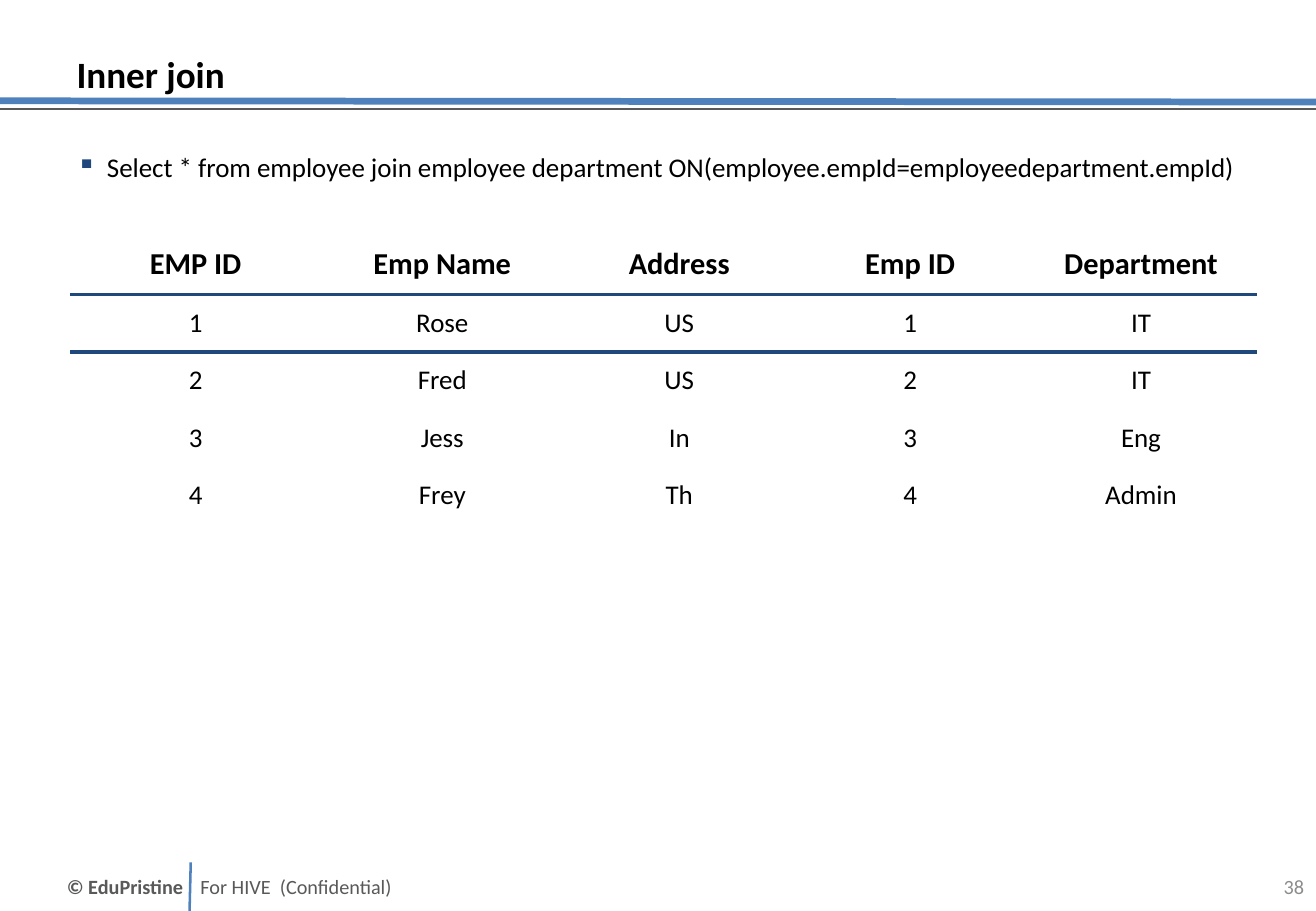
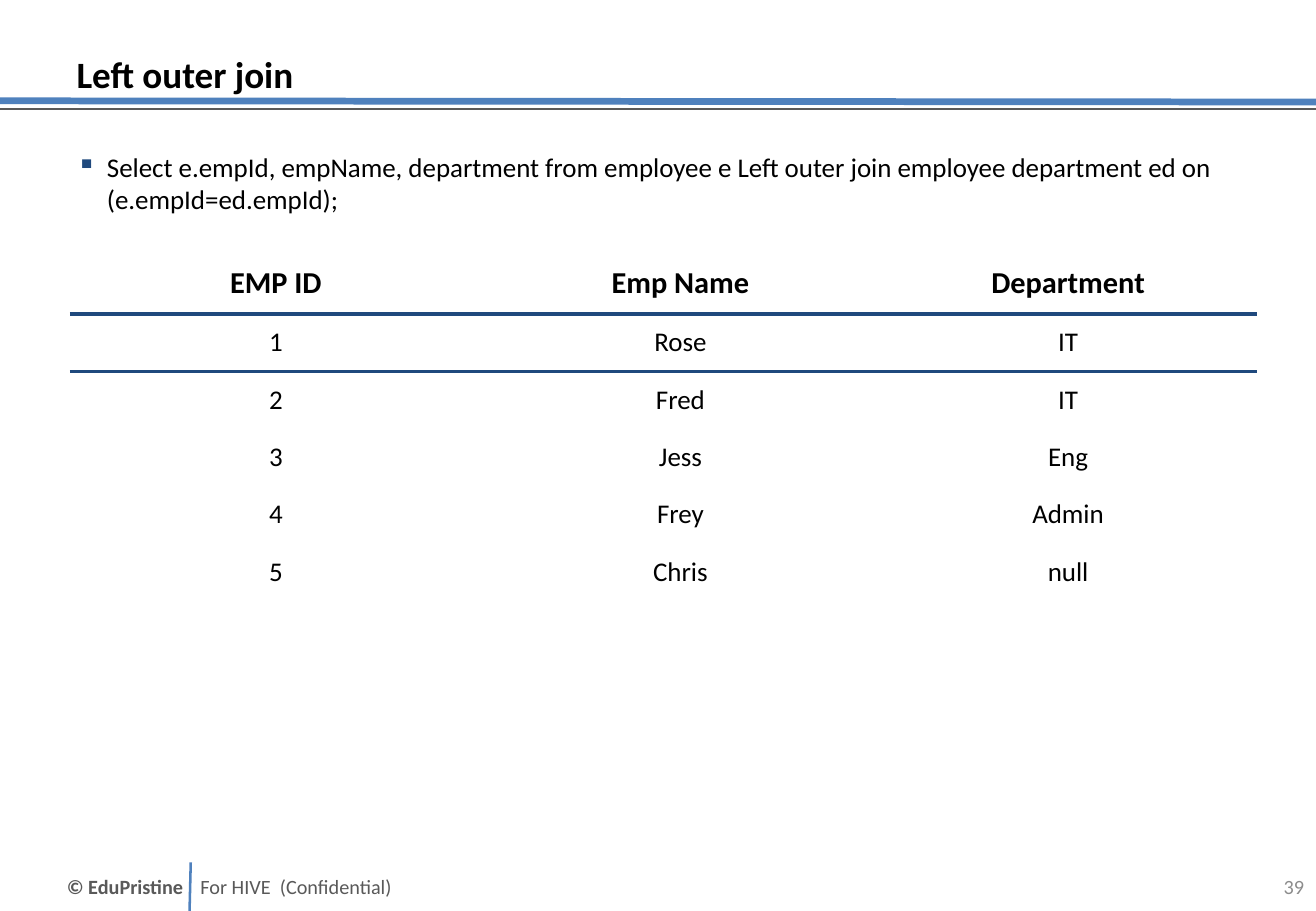
import pptx
import pptx.dml.color
import pptx.enum.shapes
import pptx.enum.text
import pptx.oxml.ns
import pptx.util
from lxml import etree
from pptx.util import Inches

# Shared look
FONT = "Calibri"
BLACK, WHITE, GRAY, LIGHT_GRAY = "000000", "FFFFFF", "595959", "8C8C8C"
BLUE, NAVY = "4F81BD", "1F497D"
LEFT, CONTENT_WIDTH, SLIDE_WIDTH = 0.58, 9.75, 10.83
FOOTER_TOP, FOOTER_HEIGHT = 7.1, 0.4
HEADER_ROW, BODY_ROW = 0.5, 0.47
ALIGN = pptx.enum.text.PP_ALIGN
ANCHOR = pptx.enum.text.MSO_ANCHOR

# Slide content
SLIDES = [
    {
        "number": 38,
        "title": "Inner join",
        "query": "Select * from employee join employee department "
                 "ON(employee.empId=employeedepartment.empId)",
        "table_top": 1.92,
        "columns": [2.06, 2, 1.9, 1.9, 1.9],
        "rows": [
            ["EMP ID", "Emp Name", "Address", "Emp ID", "Department"],
            ["1", "Rose", "US", "1", "IT"],
            ["2", "Fred", "US", "2", "IT"],
            ["3", "Jess", "In", "3", "Eng"],
            ["4", "Frey", "Th", "4", "Admin"],
        ],
    },
    {
        "number": 39,
        "title": "Left outer join",
        "query": "Select e.empId, empName, department from employee e "
                 "Left outer join employee department ed on (e.empId=ed.empId);",
        "table_top": 2.08,
        "columns": [3.38, 3.28, 3.1],
        "rows": [
            ["EMP ID", "Emp Name", "Department"],
            ["1", "Rose", "IT"],
            ["2", "Fred", "IT"],
            ["3", "Jess", "Eng"],
            ["4", "Frey", "Admin"],
            ["5", "Chris", "null"],
        ],
    },
]


def color(hex_string):
    return pptx.dml.color.RGBColor.from_string(hex_string)


def add_element(parent, tag, **attributes):
    element = etree.SubElement(parent, pptx.oxml.ns.qn(tag))
    for name, value in attributes.items():
        element.set(name, value)
    return element


def add_run(paragraph, text, size, hex_color=BLACK, bold=False):
    run = paragraph.add_run()
    run.text = text
    run.font.name = FONT
    run.font.size = pptx.util.Pt(size)
    run.font.bold = bold
    run.font.color.rgb = color(hex_color)


def format_frame(frame, anchor, horizontal=0.05, vertical=0.05):
    frame.word_wrap = True
    frame.auto_size = pptx.enum.text.MSO_AUTO_SIZE.NONE
    frame.vertical_anchor = anchor
    frame.margin_left = frame.margin_right = Inches(horizontal)
    frame.margin_top = frame.margin_bottom = Inches(vertical)


def add_text_box(slide, left, top, width, height, anchor, margin=0.05):
    box = slide.shapes.add_textbox(
        Inches(left), Inches(top), Inches(width), Inches(height))
    format_frame(box.text_frame, anchor, margin)
    return box.text_frame.paragraphs[0]


def add_footer_text(slide, text, left, width, hex_color=GRAY, bold=False,
                    margin=0, alignment=ALIGN.LEFT):
    paragraph = add_text_box(slide, left, FOOTER_TOP, width, FOOTER_HEIGHT,
                             ANCHOR.MIDDLE, margin)
    paragraph.alignment = alignment
    add_run(paragraph, text, 12, hex_color, bold)


def add_line(slide, start, end, hex_color, width):
    line = slide.shapes.add_connector(
        pptx.enum.shapes.MSO_CONNECTOR.STRAIGHT,
        *(Inches(value) for value in (*start, *end)))
    line.line.color.rgb = color(hex_color)
    line.line.width = pptx.util.Pt(width)
    add_element(line.element.spPr, "a:effectLst")


def add_frame(slide, number):
    # Footer
    add_footer_text(slide, "© EduPristine", 0.55, 1.53, bold=True)
    add_line(slide, (1.57, FOOTER_TOP), (1.56, FOOTER_TOP + FOOTER_HEIGHT),
             BLUE, 1.5)
    add_footer_text(slide, "For HIVE  (Confidential)", 1.65, 3.43)
    add_footer_text(slide, str(number), 10.29, 0.54, LIGHT_GRAY,
                    margin=0.1, alignment=ALIGN.RIGHT)
    # Rules under the title
    add_line(slide, (0, 0.83), (SLIDE_WIDTH, 0.84), BLUE, 4)
    add_line(slide, (0, 0.9), (SLIDE_WIDTH, 0.9), GRAY, 1)


def set_title(slide, text):
    title = slide.shapes.title
    title.left, title.top = Inches(LEFT), Inches(0.07)
    title.width, title.height = Inches(8.86), Inches(0.77)
    format_frame(title.text_frame, ANCHOR.BOTTOM)
    paragraph = title.text_frame.paragraphs[0]
    paragraph.alignment = ALIGN.LEFT
    paragraph.line_spacing = pptx.util.Pt(22)
    add_run(paragraph, text, 22, bold=True)


def add_query(slide, text):
    paragraph = add_text_box(slide, LEFT, 1.19, CONTENT_WIDTH, 5.51, ANCHOR.TOP)
    properties = paragraph._p.get_or_add_pPr()
    properties.set("marL", str(Inches(0.25)))
    properties.set("indent", str(Inches(-0.25)))
    bullet_color = add_element(properties, "a:buClr")
    add_element(bullet_color, "a:srgbClr", val=NAVY)
    add_element(properties, "a:buChar", char="▪")
    paragraph.space_after = pptx.util.Pt(4)
    add_run(paragraph, text, 16)


def set_borders(cell, top, bottom):
    properties = cell._tc.get_or_add_tcPr()
    sides = {"a:lnL": WHITE, "a:lnR": WHITE, "a:lnT": top, "a:lnB": bottom}
    for index, (tag, hex_color) in enumerate(sides.items()):
        width = 1 if hex_color == WHITE else 2.25
        border = add_element(properties, tag, w=str(pptx.util.Pt(width)))
        fill = add_element(border, "a:solidFill")
        add_element(fill, "a:srgbClr", val=hex_color)
        properties.insert(index, border)


def add_result_table(slide, top, columns, rows):
    heights = [HEADER_ROW] + [BODY_ROW] * (len(rows) - 1)
    table = slide.shapes.add_table(
        len(rows), len(columns), Inches(LEFT), Inches(top),
        Inches(sum(columns)), Inches(sum(heights))).table
    table.first_row = table.horz_banding = False
    for column, width in zip(table.columns, columns):
        column.width = Inches(width)
    for row_index, (row, height, texts) in enumerate(
            zip(table.rows, heights, rows)):
        row.height = Inches(height)
        is_header = row_index == 0
        # Navy rules run below the header and below the first record
        top_color = NAVY if row_index in (1, 2) else WHITE
        bottom_color = NAVY if row_index in (0, 1) else WHITE
        for cell, text in zip(row.cells, texts):
            cell.fill.background()
            set_borders(cell, top_color, bottom_color)
            cell.vertical_anchor = ANCHOR.BOTTOM
            cell.margin_left = cell.margin_right = Inches(0.1)
            cell.margin_top = cell.margin_bottom = Inches(0.1)
            paragraph = cell.text_frame.paragraphs[0]
            paragraph.alignment = ALIGN.CENTER
            add_run(paragraph, text, 18 if is_header else 16, bold=is_header)


def main():
    presentation = pptx.Presentation()
    presentation.slide_width = Inches(SLIDE_WIDTH)
    presentation.slide_height = Inches(7.5)
    title_only = presentation.slide_layouts[5]
    for content in SLIDES:
        slide = presentation.slides.add_slide(title_only)
        add_frame(slide, content["number"])
        set_title(slide, content["title"])
        add_query(slide, content["query"])
        add_result_table(slide, content["table_top"], content["columns"],
                         content["rows"])
    presentation.save("out.pptx")


if __name__ == "__main__":
    main()
